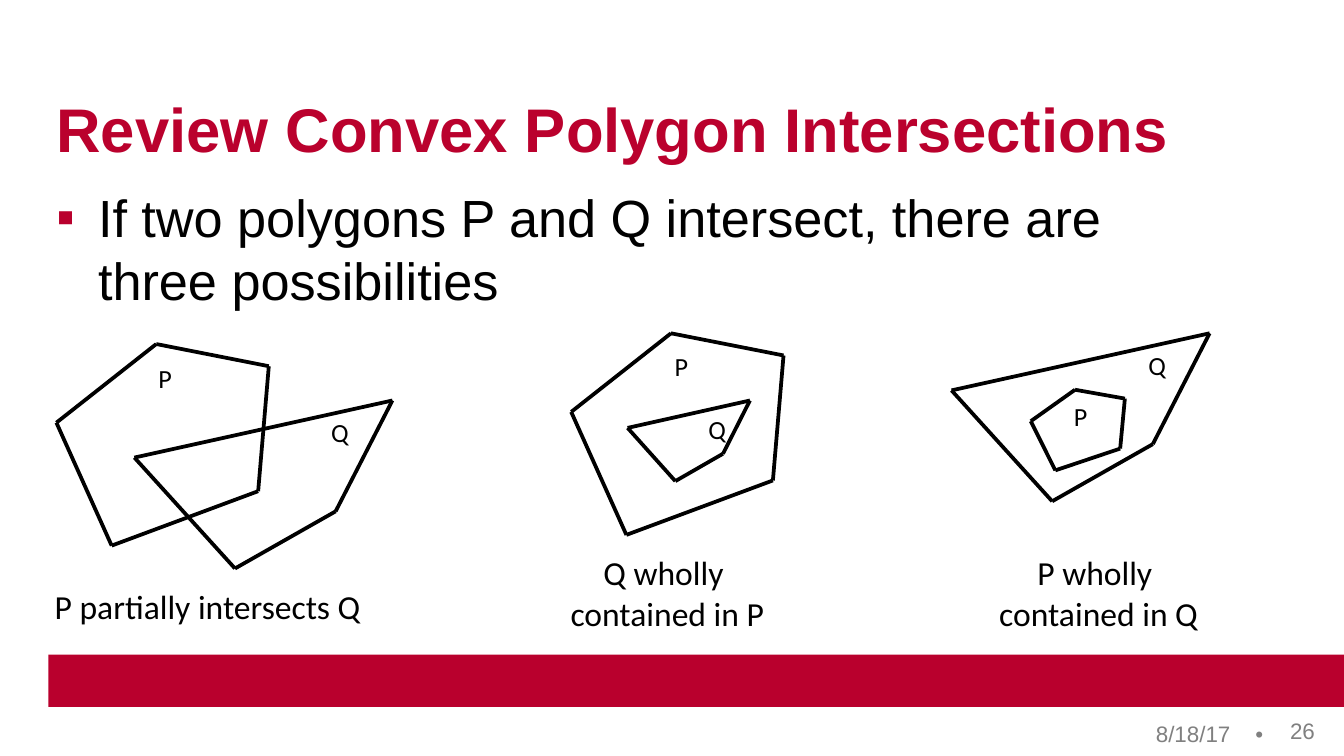
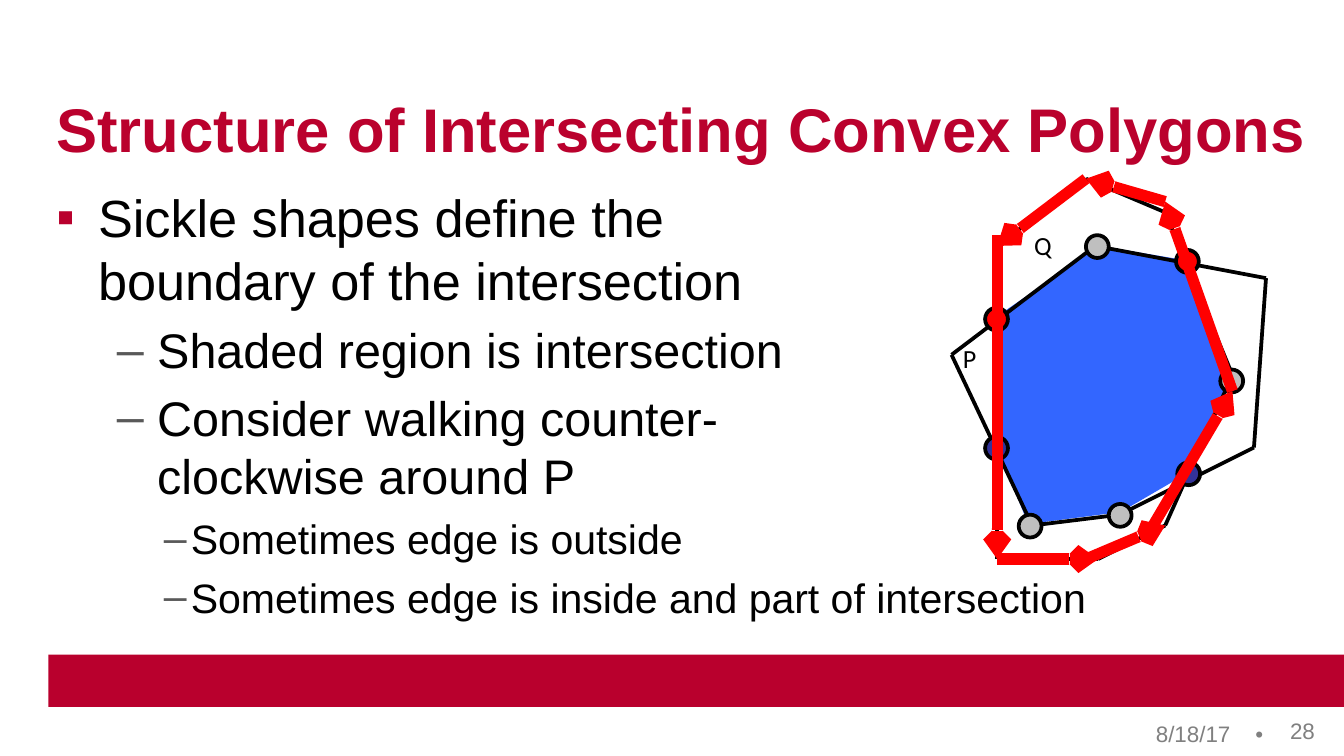
from itertools import pairwise

from lxml.etree import SubElement
from pptx import Presentation
from pptx.dml.color import RGBColor
from pptx.enum.shapes import MSO_CONNECTOR as Connector, MSO_SHAPE as Preset
from pptx.enum.text import MSO_ANCHOR as Anchor, MSO_AUTO_SIZE as AutoSize, PP_ALIGN as Align
from pptx.oxml.ns import qn
from pptx.util import Inches, Pt

COLORS = {
    "band": "B9002D",
    "title": "BA012D",
    "text": "000000",
    "footer": "808080",
    "dash": "595959",
    "region": "3366FF",
    "vertex": "BFBFBF",
    "entry": "FF0000",
    "exit": "333399",
    "walk": "FF0000",
}
HEADING_FONT, LABEL_FONT = "Arial", "Calibri"
SLIDE_WIDTH = 10
SLIDE_HEIGHT = SLIDE_WIDTH * 9 / 16

# Body levels: indent, hanging width, bullet, bullet colour, text size
LEVELS = [
    (0.31, 0.31, "▪", "band", 28),
    (0.75, 0.3, "–", "dash", 26),
    (1, 0.2, "–", "dash", 22),
]

# Outlines as fractions of their bounding box
P_OUTLINE = [(0.47, 0), (0, 0.39), (0.26, 1), (0.95, 0.73), (1, 0.11)]
Q_OUTLINE = [(0, 0.34), (0.39, 1), (0.78, 0.66), (1, 0)]
VERTEX_SIZE = 0.17


def rgb(name):
    return RGBColor.from_string(COLORS[name])


def format_paragraph(paragraph, text, size=14, font=LABEL_FONT, color="text",
                     bold=False, align=Align.LEFT, line_spacing=None, before=0):
    """Fill a paragraph; a newline in text becomes a line break."""
    paragraph.text = text.replace("\n", "\v")
    paragraph.alignment = align
    paragraph.space_before = Pt(before)
    if line_spacing:
        paragraph.line_spacing = Pt(line_spacing)
    for run in paragraph.runs:
        run.font.size = Pt(size)
        run.font.name = font
        run.font.bold = bold
        run.font.color.rgb = rgb(color)


def add_frame(slide, box, inset=None, anchor=Anchor.TOP, wrap=True):
    frame = slide.shapes.add_textbox(*map(Inches, box)).text_frame
    frame.word_wrap = wrap
    frame.vertical_anchor = anchor
    if inset is not None:
        frame.margin_left = frame.margin_right = Inches(inset)
        frame.margin_top = frame.margin_bottom = Inches(inset)
    return frame


def add_label(slide, text, box, size=14):
    frame = add_frame(slide, box, wrap=False)
    frame.auto_size = AutoSize.SHAPE_TO_FIT_TEXT
    format_paragraph(frame.paragraphs[0], text, size=size, align=Align.CENTER)


def add_filled_shape(slide, preset, box, fill, outlined=False):
    shape = slide.shapes.add_shape(preset, *map(Inches, box))
    paint(shape, fill, outlined)


def paint(shape, fill, outlined=False):
    shape.shadow.inherit = False
    shape.fill.solid()
    shape.fill.fore_color.rgb = rgb(fill)
    if outlined:
        shape.line.color.rgb = rgb("text")
        shape.line.width = Pt(2)
    else:
        shape.line.fill.background()


def add_line(shapes, start, end, color="text", width=2, arrow=False):
    line = shapes.add_connector(Connector.STRAIGHT, *map(Inches, (*start, *end)))
    line.line.color.rgb = rgb(color)
    line.line.width = Pt(width)
    properties = line._element.spPr
    if arrow:
        SubElement(properties.find(qn("a:ln")), qn("a:tailEnd"),
                   type="arrow", w="sm", len="sm")
    SubElement(properties, qn("a:effectLst"))


def add_polygon(slide, points):
    """Draw a closed outline as a group of separate edges."""
    group = slide.shapes.add_group_shape()
    for start, end in pairwise([*points, points[0]]):
        add_line(group.shapes, start, end)


def fit(outline, left, top, width, height):
    return [(left + x * width, top + y * height) for x, y in outline]


def add_region(slide, points, fill):
    corners = [(Inches(x), Inches(y)) for x, y in points]
    builder = slide.shapes.build_freeform(*corners[0], scale=1.0)
    builder.add_line_segments(corners[1:], close=True)
    paint(builder.convert_to_shape(), fill)


def add_bullet(paragraph, indent, hanging, character, color):
    properties = paragraph._p.get_or_add_pPr()
    properties.set("marL", str(Inches(indent)))
    properties.set("indent", str(-Inches(hanging)))
    bullet_color = SubElement(properties, qn("a:buClr"))
    SubElement(bullet_color, qn("a:srgbClr"), val=COLORS[color])
    SubElement(properties, qn("a:buFont"), typeface=HEADING_FONT)
    SubElement(properties, qn("a:buChar"), char=character)


def add_body(slide, items):
    frame = add_frame(slide, (0.42, 1.38, 8.5, 3.44), inset=0)
    for index, (level, text) in enumerate(items):
        paragraph = frame.add_paragraph() if index else frame.paragraphs[0]
        *bullet, size = LEVELS[level]
        paragraph.level = level
        add_bullet(paragraph, *bullet)
        format_paragraph(paragraph, text, size=size, font=HEADING_FONT,
                         before=5 if index else 0)


def add_footer(slide, number):
    date = add_frame(slide, (6.39, 5.34, 3.11, 0.23), anchor=Anchor.MIDDLE)
    date.margin_left, date.margin_right = Inches(2.21), 0
    paragraph = date.paragraphs[0]
    tabs = SubElement(paragraph._p.get_or_add_pPr(), qn("a:tabLst"))
    SubElement(tabs, qn("a:tab"), pos=str(Inches(0.74)), algn="l")
    page = add_frame(slide, (9.5, 5.29, 0.42, 0.25))
    for target, text in ((paragraph, "8/18/17\t•"), (page.paragraphs[0], str(number))):
        format_paragraph(target, text, size=12, font=HEADING_FONT, color="footer")


def add_base_slide(presentation, title, number, title_width=8.5):
    """Add a slide with the shared band, footer and title."""
    slide = presentation.slides.add_slide(presentation.slide_layouts[6])
    add_filled_shape(slide, Preset.RECTANGLE, (0.36, 4.87, 9.66, 0.39), "band")
    add_footer(slide, number)
    frame = add_frame(slide, (0.42, 0.38, title_width, 0.85), inset=0, anchor=Anchor.BOTTOM)
    format_paragraph(frame.paragraphs[0], title, size=33, font=HEADING_FONT,
                     color="title", bold=True, line_spacing=34)
    return slide


def build_review(presentation):
    slide = add_base_slide(presentation, "Review Convex Polygon Intersections", 26)
    add_body(slide, [(0, "If two polygons P and Q intersect, there are three possibilities")])

    polygons = [
        ("P", P_OUTLINE, (0.42, 2.56, 1.58, 1.5), (1.08, 2.65, 0.3, 0.34)),
        ("Q", Q_OUTLINE, (1, 2.98, 1.92, 1.25), (2.35, 3.05, 0.36, 0.34)),
        ("P", P_OUTLINE, (4.25, 2.48, 1.58, 1.5), (4.92, 2.56, 0.3, 0.34)),
        ("Q", Q_OUTLINE, (4.67, 2.98, 0.91, 0.6), (5.2, 3.03, 0.17, 0.16)),
        ("P", P_OUTLINE, (7.67, 2.9, 0.7, 0.6), (7.96, 2.93, 0.13, 0.14)),
        ("Q", Q_OUTLINE, (7.08, 2.48, 1.92, 1.25), (8.43, 2.55, 0.36, 0.34)),
    ]
    for name, outline, bounds, label_box in polygons:
        add_label(slide, name, label_box)
        add_polygon(slide, fit(outline, *bounds))

    captions = [
        ("Q wholly \ncontained in P", (4.14, 4.06, 1.65, 0.71)),
        ("P wholly \ncontained in Q", (7.31, 4.06, 1.73, 0.71)),
        ("P partially intersects Q", (0.27, 4.31, 2.55, 0.4)),
    ]
    for text, box in captions:
        add_label(slide, text, box, size=18)


def build_structure(presentation):
    slide = add_base_slide(presentation, "Structure of Intersecting Convex Polygons", 28,
                           title_width=9.42)
    add_region(slide, [(7.41, 2.36), (7.43, 3.35), (7.65, 3.9), (8.34, 3.81), (8.82, 3.53),
                       (9.16, 2.81), (8.84, 1.94), (8.18, 1.83)], "region")
    add_body(slide, [
        (0, "Sickle shapes define the\nboundary of the intersection"),
        (1, "Shaded region is intersection"),
        (1, "Consider walking counter-\nclockwise around P"),
        (2, "Sometimes edge is outside"),
        (2, "Sometimes edge is inside and part of intersection"),
    ])
    add_label(slide, "P", (7, 2.5, 0.43, 0.47))
    add_label(slide, "Q", (7.58, 1.66, 0.36, 0.25))
    add_polygon(slide, [(8.15, 1.83), (7.08, 2.64), (7.68, 3.91), (8.33, 3.83),
                        (9.33, 3.33), (9.42, 2.07)])
    add_polygon(slide, [(7.42, 1.83), (8.08, 1.33), (8.67, 1.58), (9.17, 2.79),
                        (8.67, 3.91), (8.17, 4.16), (7.42, 4.16)])

    vertices = {
        "vertex": [(7.58, 3.83), (8.25, 3.75), (9.08, 2.75), (8.08, 1.75)],
        "entry": [(8.75, 1.86), (7.33, 2.29)],
        "exit": [(7.33, 3.25), (8.76, 3.44)],
    }
    for color, corners in vertices.items():
        for corner in corners:
            add_filled_shape(slide, Preset.OVAL, (*corner, VERTEX_SIZE, VERTEX_SIZE),
                             color, outlined=True)

    walk = [
        ((7.42, 1.75), (7.42, 4.16)),
        ((7.42, 4.16), (8.17, 4.16)),
        ((8.08, 4.16), (8.67, 3.91)),
        ((8.58, 3.91), (9.17, 2.91)),
        ((9.17, 2.91), (8.67, 1.5)),
        ((8.67, 1.5), (8.08, 1.33)),
        ((8.08, 1.33), (7.42, 1.83)),
    ]
    for start, end in walk:
        add_line(slide.shapes, start, end, color="walk", width=6, arrow=True)


def main():
    presentation = Presentation()
    presentation.slide_width = Inches(SLIDE_WIDTH)
    presentation.slide_height = Inches(SLIDE_HEIGHT)
    build_review(presentation)
    build_structure(presentation)
    presentation.save("out.pptx")


if __name__ == "__main__":
    main()
